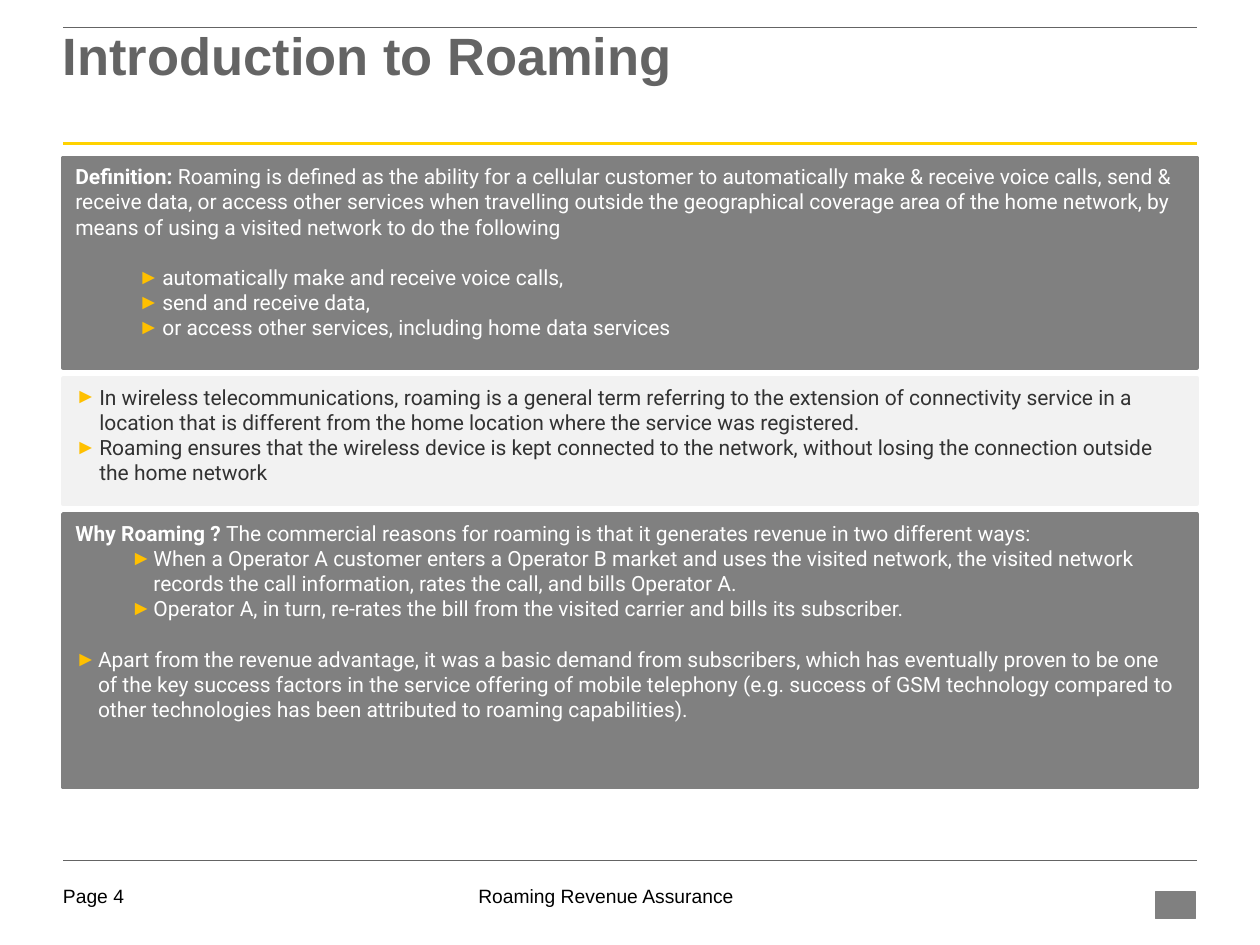
import pptx
import pptx.util
import pptx.dml.color
import pptx.enum.shapes
import pptx.enum.text
import pptx.oxml.ns
from lxml import etree

Inches, Pt = pptx.util.Inches, pptx.util.Pt
ALIGN = pptx.enum.text.PP_ALIGN

COLORS = {
    "text": "323232", "title": "646464", "panel": "808080", "light": "F2F2F2",
    "white": "FFFFFF", "black": "000000", "yellow": "FFD200", "bullet": "FFC000",
}
LEFT, WIDTH = 0.5, 9
BLANK_LINE = 14.4  # points

# Content: each paragraph has runs of (text, bold) and an optional format
TITLE = "Introduction to Roaming"
PANELS = [
    {"top": 1.25, "height": 1.67, "fill": "panel", "color": "white", "paragraphs": [
        {"runs": [("Definition: ", True),
                  ("Roaming is defined as the ability for a cellular customer to automatically make "
                   "& receive voice calls, send & receive data, or access other services when "
                   "travelling outside the geographical coverage area of the home network, by means "
                   "of using a visited network to do the following", False)]},
        {"runs": [("automatically make and receive voice calls,", False)],
         "level": 1, "indent": (0.69, 0.19), "before": BLANK_LINE},
        {"runs": [("send and receive data,", False)], "level": 1, "indent": (0.69, 0.19)},
        {"runs": [("or access other services, including home data services", False)],
         "level": 1, "indent": (0.69, 0.19)},
    ]},
    {"top": 3, "height": 1, "fill": "light", "color": "text", "paragraphs": [
        {"runs": [("In wireless telecommunications, roaming is a general term referring to the "
                   "extension of connectivity service in a location that is different from the "
                   "home location where the service was registered.", False)],
         "indent": (0.19, 0.19)},
        {"runs": [("Roaming ensures that the wireless device is kept connected to the network, "
                   "without losing the connection outside the home network", False)],
         "indent": (0.19, 0.19)},
    ]},
    {"top": 4.08, "height": 2.17, "fill": "panel", "color": "white", "paragraphs": [
        {"runs": [("Why Roaming ? ", True),
                  ("The commercial reasons for roaming is that it generates revenue in two "
                   "different ways:", False)]},
        {"runs": [("When a Operator A customer enters a Operator B market and uses the visited "
                   "network, the visited network records the call information, rates the call, "
                   "and bills Operator A.", False)], "level": 1, "indent": (0.62, 0.18)},
        {"runs": [("Operator A, in turn, re-rates the bill from the visited carrier and bills its "
                   "subscriber.", False)], "level": 1, "indent": (0.62, 0.18)},
        {"runs": [("Apart from the revenue advantage, it was a basic demand from subscribers, "
                   "which has eventually proven to be one of the key success factors in the "
                   "service offering of mobile telephony (e.g. success of GSM technology compared "
                   "to other technologies has been attributed to roaming capabilities).", False)],
         "indent": (0.18, 0.18), "before": BLANK_LINE},
    ]},
]
RULES = [(0.22, "title", 0.5), (1.14, "yellow", 1.5), (6.83, "title", 0.25)]
FOOTERS = [("Page 4", 0.5, 0.73, ALIGN.LEFT),
           ("Roaming Revenue Assurance", 2.75, 4.12, ALIGN.CENTER)]


def rgb(name):
    return pptx.dml.color.RGBColor.from_string(COLORS[name])


def add_bullet(para, margin, hanging):
    props = para._p.get_or_add_pPr()
    props.set("marL", str(Inches(margin)))
    props.set("indent", str(-Inches(hanging)))
    qn = pptx.oxml.ns.qn
    color = etree.SubElement(props, qn("a:buClr"))
    etree.SubElement(color, qn("a:srgbClr"), val=COLORS["bullet"])
    etree.SubElement(props, qn("a:buFont"), typeface="Arial")
    etree.SubElement(props, qn("a:buChar"), char="►")


def write(para, text, size=12, font="Arial", color="black", bold=False):
    span = para.add_run()
    span.text = text
    span.font.size, span.font.name, span.font.bold = Pt(size), font, bold
    span.font.color.rgb = rgb(color)


def add_text_box(page, text, left, top, width, height, inset_top=0,
                 align=ALIGN.LEFT, spacing=1.0, **style):
    box = page.shapes.add_textbox(Inches(left), Inches(top), Inches(width), Inches(height))
    frame = box.text_frame
    frame.word_wrap = True
    frame.margin_left = frame.margin_right = frame.margin_bottom = 0
    frame.margin_top = Inches(inset_top)
    para = frame.paragraphs[0]
    para.alignment, para.line_spacing = align, spacing
    write(para, text, **style)


def add_rectangle(page, left, top, width, height, color, line_width):
    box = page.shapes.add_shape(pptx.enum.shapes.MSO_SHAPE.RECTANGLE, Inches(left),
                                Inches(top), Inches(width), Inches(height))
    box.shadow.inherit = False
    box.fill.solid()
    box.fill.fore_color.rgb = rgb(color)
    box.line.color.rgb = rgb(color)
    box.line.width = Pt(line_width)
    return box


def add_panel(page, panel):
    box = add_rectangle(page, LEFT, panel["top"], WIDTH, panel["height"], panel["fill"], 2)
    frame = box.text_frame
    frame.word_wrap = True
    frame.vertical_anchor = pptx.enum.text.MSO_ANCHOR.TOP
    for index, item in enumerate(panel["paragraphs"]):
        para = frame.add_paragraph() if index else frame.paragraphs[0]
        para.alignment = ALIGN.LEFT
        para.level = item.get("level", 0)
        if "before" in item:
            para.space_before = Pt(item["before"])
        if "indent" in item:
            add_bullet(para, *item["indent"])
        for text, bold in item["runs"]:
            write(para, text, font="Roboto", color=panel["color"], bold=bold)


def add_rule(page, y, color, width):
    rule = page.shapes.add_connector(pptx.enum.shapes.MSO_CONNECTOR.STRAIGHT, Inches(LEFT),
                                     Inches(y), Inches(LEFT + WIDTH), Inches(y))
    rule.line.color.rgb = rgb(color)
    rule.line.width = Pt(width)
    etree.SubElement(rule._element.spPr, pptx.oxml.ns.qn("a:effectLst"))


def main():
    deck = pptx.Presentation()
    deck.slide_width, deck.slide_height = Inches(10), Inches(7.5)
    page = deck.slides.add_slide(deck.slide_layouts[6])

    # Footer, rules and a plain emblem block
    for text, left, width, align in FOOTERS:
        add_text_box(page, text, left, 7.02, width, 0.23, align=align, size=11)
    for y, color, width in RULES:
        add_rule(page, y, color, width)
    add_rectangle(page, 9.17, 7.08, 0.32, 0.21, "panel", 0)

    # Title and text panels
    add_text_box(page, TITLE, LEFT, 0.22, WIDTH, 0.94, inset_top=0.04, spacing=0.85,
                 size=30, color="title", bold=True)
    for panel in PANELS:
        add_panel(page, panel)

    deck.save("out.pptx")


if __name__ == "__main__":
    main()
